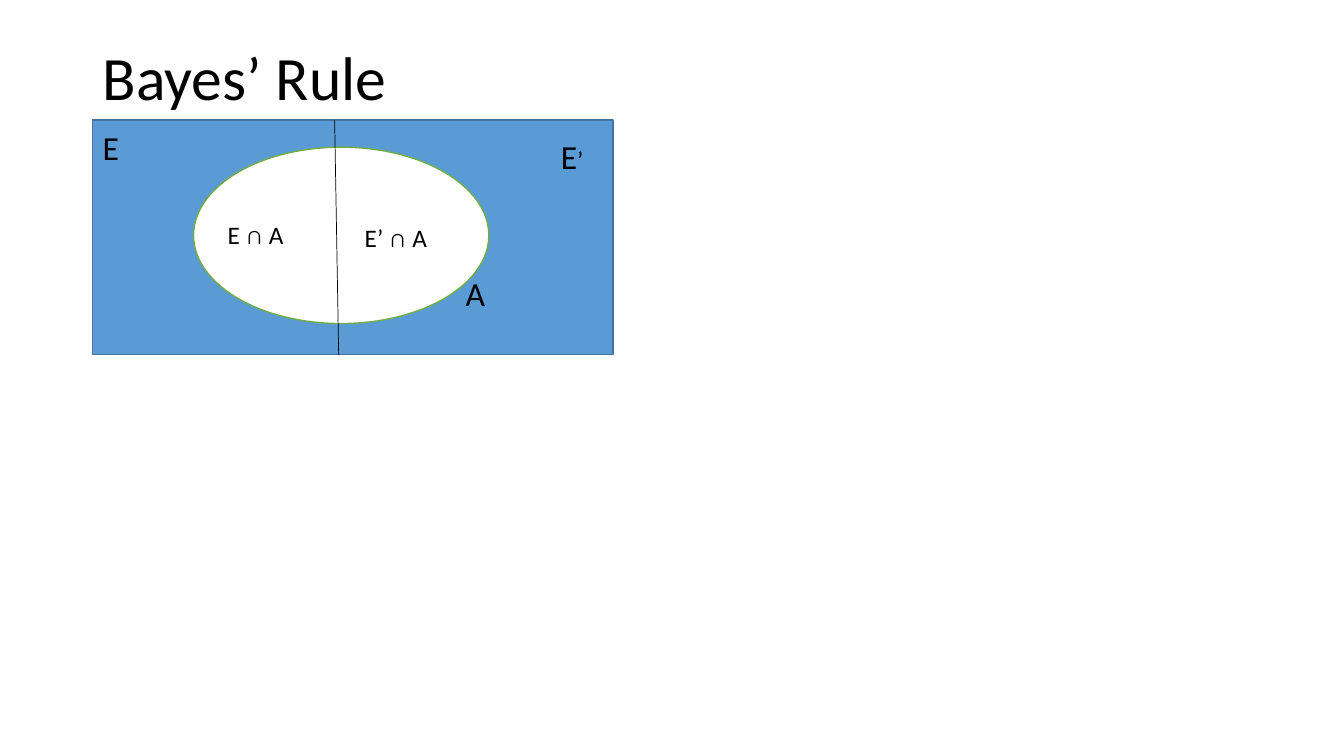
from dataclasses import dataclass

from lxml import etree
from pptx import Presentation
from pptx import util as u
from pptx.dml.color import RGBColor
from pptx.enum import shapes, text
from pptx.oxml.ns import qn
from pptx.shapes.autoshape import Shape
from pptx.shapes.shapetree import GroupShapes

BLACK = RGBColor(0x00, 0x00, 0x00)
WHITE = RGBColor(0xFF, 0xFF, 0xFF)
BLUE = RGBColor(0x5B, 0x9B, 0xD5)
NAVY = RGBColor(0x43, 0x73, 0x9E)
GREEN = RGBColor(0x70, 0xAD, 0x47)

WIDTH, HEIGHT = u.Inches(13.33), u.Inches(7.5)
COLS, ROWS = 160, 90
LEFT, TOP, BOTTOM = 11.04, 14.28, 42.24


@dataclass(frozen=True)
class Box:
    col: float
    row: float
    cols: float
    rows: float

    def emu(self) -> tuple[int, int, int, int]:
        return x(self.col), y(self.row), x(self.cols), y(self.rows)


@dataclass(frozen=True)
class Region:
    kind: shapes.MSO_SHAPE
    box: Box
    fill: RGBColor
    line: RGBColor


@dataclass(frozen=True)
class Label:
    box: Box
    runs: tuple[tuple[str, int], ...]


def x(cols: float) -> int:
    return round(WIDTH * cols / COLS)


def y(rows: float) -> int:
    return round(HEIGHT * rows / ROWS)


def write(sp: Shape, *runs: tuple[str, int], wrap: bool = False,
          anchor: text.MSO_ANCHOR = text.MSO_ANCHOR.TOP,
          fit: text.MSO_AUTO_SIZE = text.MSO_AUTO_SIZE.SHAPE_TO_FIT_TEXT,
          spacing: float = 1.0) -> None:
    tf = sp.text_frame
    tf.word_wrap, tf.auto_size, tf.vertical_anchor = wrap, fit, anchor
    p = tf.paragraphs[0]
    p.alignment, p.line_spacing = text.PP_ALIGN.LEFT, spacing
    for words, size in runs:
        r = p.add_run()
        r.text = words
        r.font.name, r.font.size = "Calibri", u.Pt(size)
        r.font.color.rgb = BLACK


def add_region(tree: GroupShapes, region: Region) -> None:
    sp = tree.add_shape(region.kind, *region.box.emu())
    sp.shadow.inherit = False
    sp.fill.solid()
    sp.fill.fore_color.rgb = region.fill
    sp.line.color.rgb, sp.line.width = region.line, u.Pt(1)


def add_divider(tree: GroupShapes, start: float, end: float) -> None:
    line = tree.add_connector(shapes.MSO_CONNECTOR.STRAIGHT,
                              x(start), y(TOP), x(end), y(BOTTOM))
    line.line.color.rgb, line.line.width = BLACK, u.Pt(0.5)
    etree.SubElement(line._element.spPr, qn("a:effectLst"))


def add_label(tree: GroupShapes, label: Label) -> None:
    write(tree.add_textbox(*label.box.emu()), *label.runs)


SPACE = Region(shapes.MSO_SHAPE.RECTANGLE,
               Box(LEFT, TOP, 61.92, BOTTOM - TOP), BLUE, NAVY)
EVENT_A = Region(shapes.MSO_SHAPE.OVAL,
                 Box(23.04, 17.52, 35.16, 21), WHITE, GREEN)
OUTER_LABELS = (
    Label(Box(64.68, 15.6, 6.12, 6), ((" E", 24), ("’", 18))),
    Label(Box(LEFT, 14.52, 4.44, 6), (("E", 24),)),
)
INNER_LABELS = (
    Label(Box(54.24, 31.92, 4.8, 6), (("A", 24),)),
    Label(Box(25.92, 25.56, 9.12, 4.8), (("E ∩ A", 18),)),
    Label(Box(42.24, 25.92, 9.96, 4.8), (("E’ ∩ A", 18),)),
)


def main() -> None:
    prs = Presentation()
    prs.slide_width, prs.slide_height = WIDTH, HEIGHT
    s = prs.slides.add_slide(prs.slide_layouts[5])

    title = s.shapes.title
    title.left, title.top, title.width, title.height = Box(LEFT, 4.8, 138, 9.48).emu()
    write(title, ("Bayes’ Rule", 44), wrap=True, anchor=text.MSO_ANCHOR.MIDDLE,
          fit=text.MSO_AUTO_SIZE.NONE, spacing=0.9)

    venn = s.shapes.add_group_shape().shapes
    add_region(venn, SPACE)
    for label in OUTER_LABELS:
        add_label(venn, label)
    add_region(venn, EVENT_A)
    add_divider(venn, 39.84, 40.32)
    for label in INNER_LABELS:
        add_label(venn, label)

    prs.save("out.pptx")


if __name__ == "__main__":
    main()
